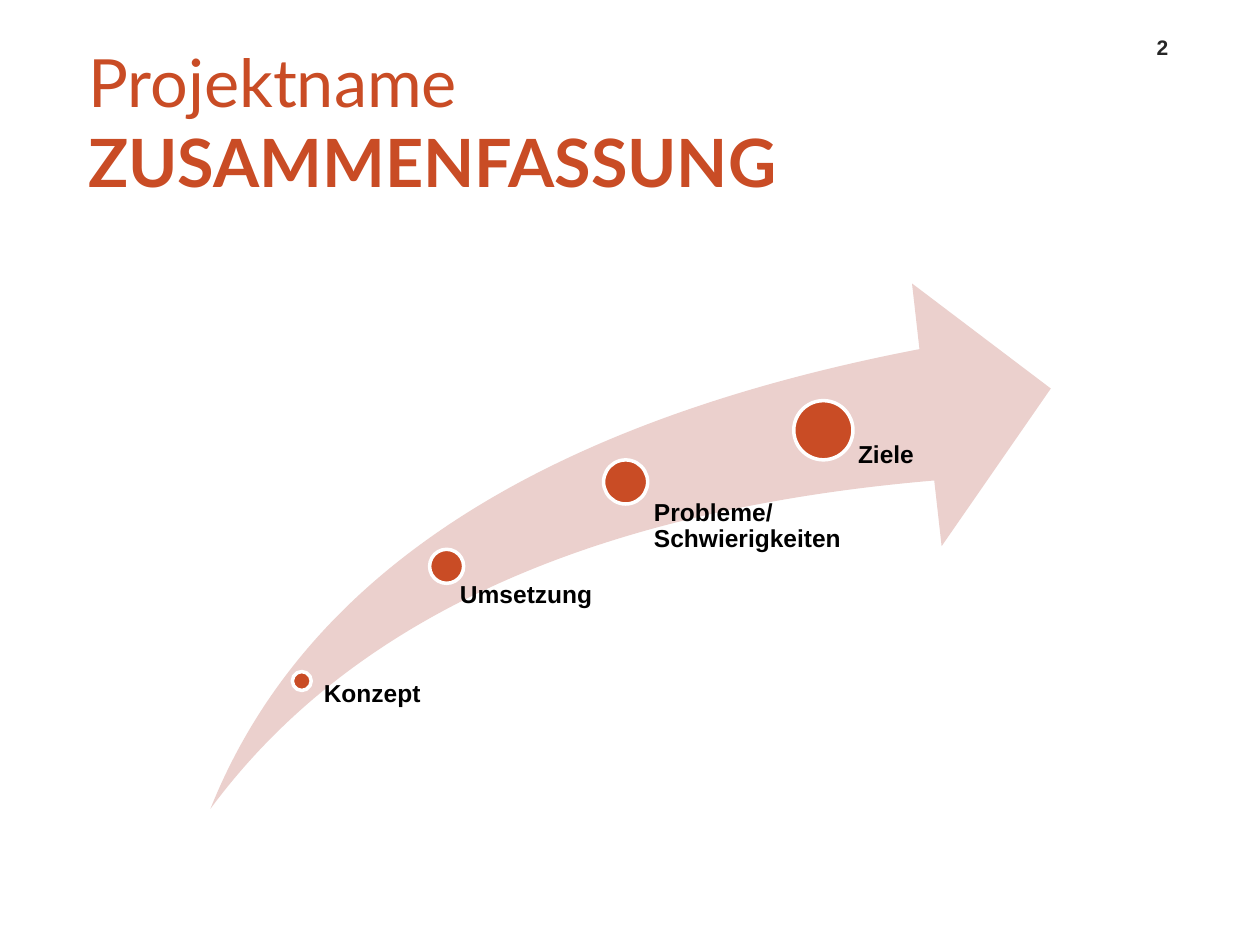
"""Build the project summary slide with four milestones along a rising arrow."""
from pptx import Presentation
from pptx.dml.color import RGBColor
from pptx.enum.shapes import MSO_SHAPE
from pptx.enum.text import MSO_ANCHOR, MSO_AUTO_SIZE, PP_ALIGN
from pptx.util import Inches, Pt

RUST = RGBColor(0xC9, 0x4C, 0x25)
ROSE = RGBColor(0xEB, 0xD0, 0xCD)
WHITE = RGBColor(0xFF, 0xFF, 0xFF)
BLACK = RGBColor(0x00, 0x00, 0x00)
GREY = RGBColor(0x26, 0x26, 0x26)


def style(run, name, size, color, bold):
    run.font.name = name
    run.font.size = Pt(size)
    run.font.color.rgb = color
    run.font.bold = bold


def add_text(slide, text, box, size, color):
    label = slide.shapes.add_textbox(*map(Inches, box))
    frame = label.text_frame
    frame.word_wrap = True
    frame.text = text
    for run in frame.paragraphs[0].runs:
        style(run, "Arial", size, color, True)
    return frame


deck = Presentation()
deck.slide_width, deck.slide_height = Inches(10), Inches(7.5)
slide = deck.slides.add_slide(deck.slide_layouts[5])

title = slide.shapes.title
title.left, title.top = Inches(0.5), Inches(0.34)
title.width, title.height = Inches(6.03), Inches(1.24)
frame = title.text_frame
frame.word_wrap = True
frame.auto_size = MSO_AUTO_SIZE.NONE
frame.vertical_anchor = MSO_ANCHOR.MIDDLE
frame.margin_left = frame.margin_right = 0
para = frame.paragraphs[0]
para.alignment = PP_ALIGN.LEFT
props = para._p.get_or_add_pPr()
props.set("marL", str(Inches(0.2)))
props.set("indent", "0")
for text, bold in (("Projektname", False), (" ZUSAMMENFASSUNG", True)):
    run = para.add_run()
    run.text = text
    style(run, "Lato", 38, RUST, bold)

arrow = slide.shapes.add_shape(
    MSO_SHAPE.SWOOSH_ARROW, Inches(1.67), Inches(2.25), Inches(6.67), Inches(4.17))
arrow.adjustments[0] = arrow.adjustments[1] = 0.25
arrow.shadow.inherit = False
arrow.fill.solid()
arrow.fill.fore_color.rgb = ROSE
arrow.line.fill.background()

steps = [
    ("Konzept", (2.32, 5.33, 0.15), (2.49, 5.41, 0.97, 0.99), 0.08),
    ("Umsetzung", (3.41, 4.36, 0.27), (3.51, 4.62, 1.52, 1.9), 0.14),
    ("Probleme/\vSchwierigkeiten", (4.79, 3.65, 0.35), (5, 3.97, 1.72, 2.58), 0.19),
    ("Ziele", (6.3, 3.18, 0.47), (6.56, 3.51, 1.19, 2.99), 0.25),
]
for text, (left, top, size), box, inset in steps:
    dot = slide.shapes.add_shape(
        MSO_SHAPE.OVAL, Inches(left), Inches(top), Inches(size), Inches(size))
    dot.shadow.inherit = False
    dot.fill.solid()
    dot.fill.fore_color.rgb = RUST
    dot.line.color.rgb = WHITE
    dot.line.width = Pt(2)
    frame = add_text(slide, text, box, 14, BLACK)
    frame.margin_left = Inches(inset)
    frame.margin_top = frame.margin_right = frame.margin_bottom = 0
    frame.paragraphs[0].line_spacing = 0.9

frame = add_text(slide, "2", (8.95, 0.19, 0.55, 0.33), 12, GREY)
frame.vertical_anchor = MSO_ANCHOR.BOTTOM
frame.paragraphs[0].alignment = PP_ALIGN.CENTER

deck.save("out.pptx")
